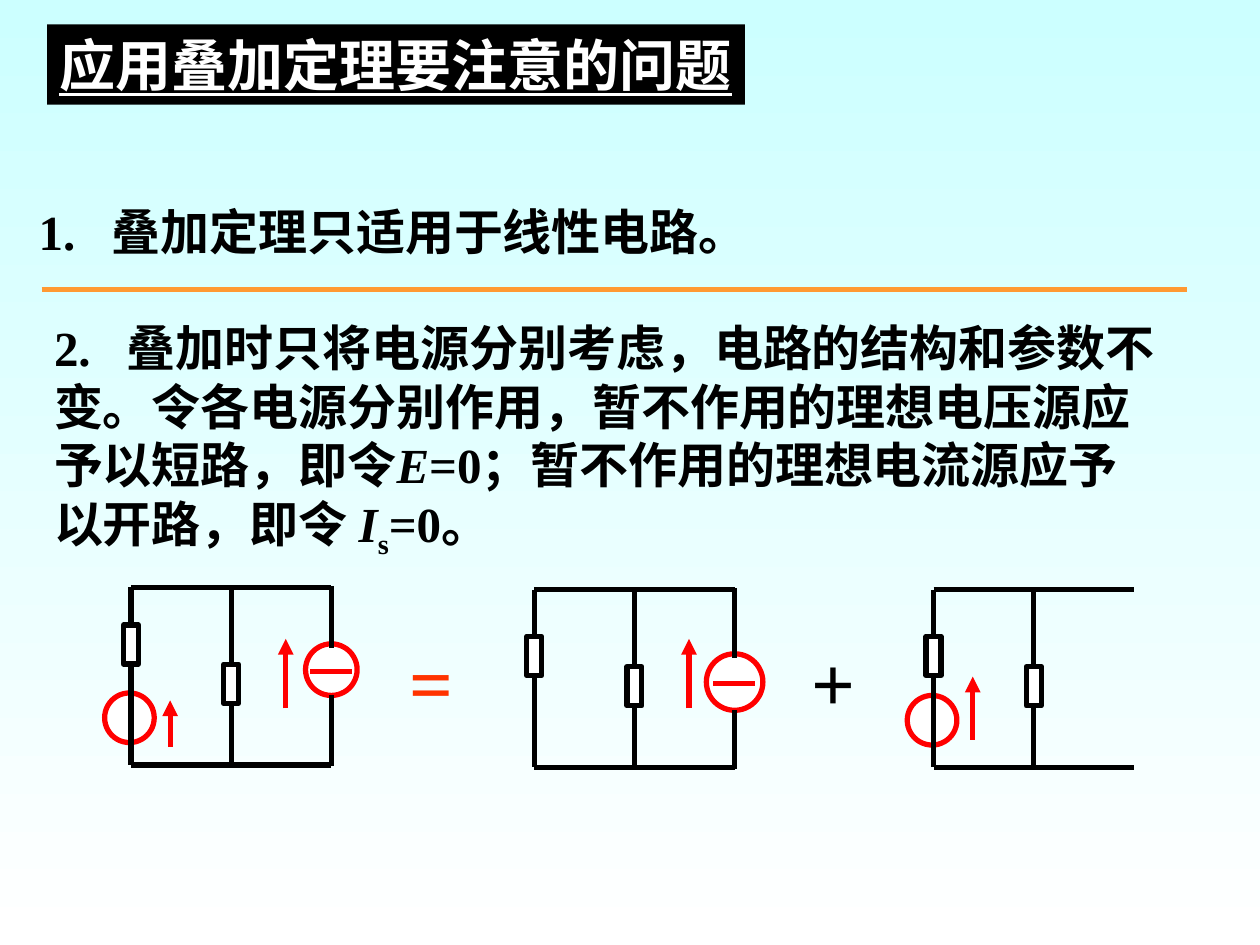
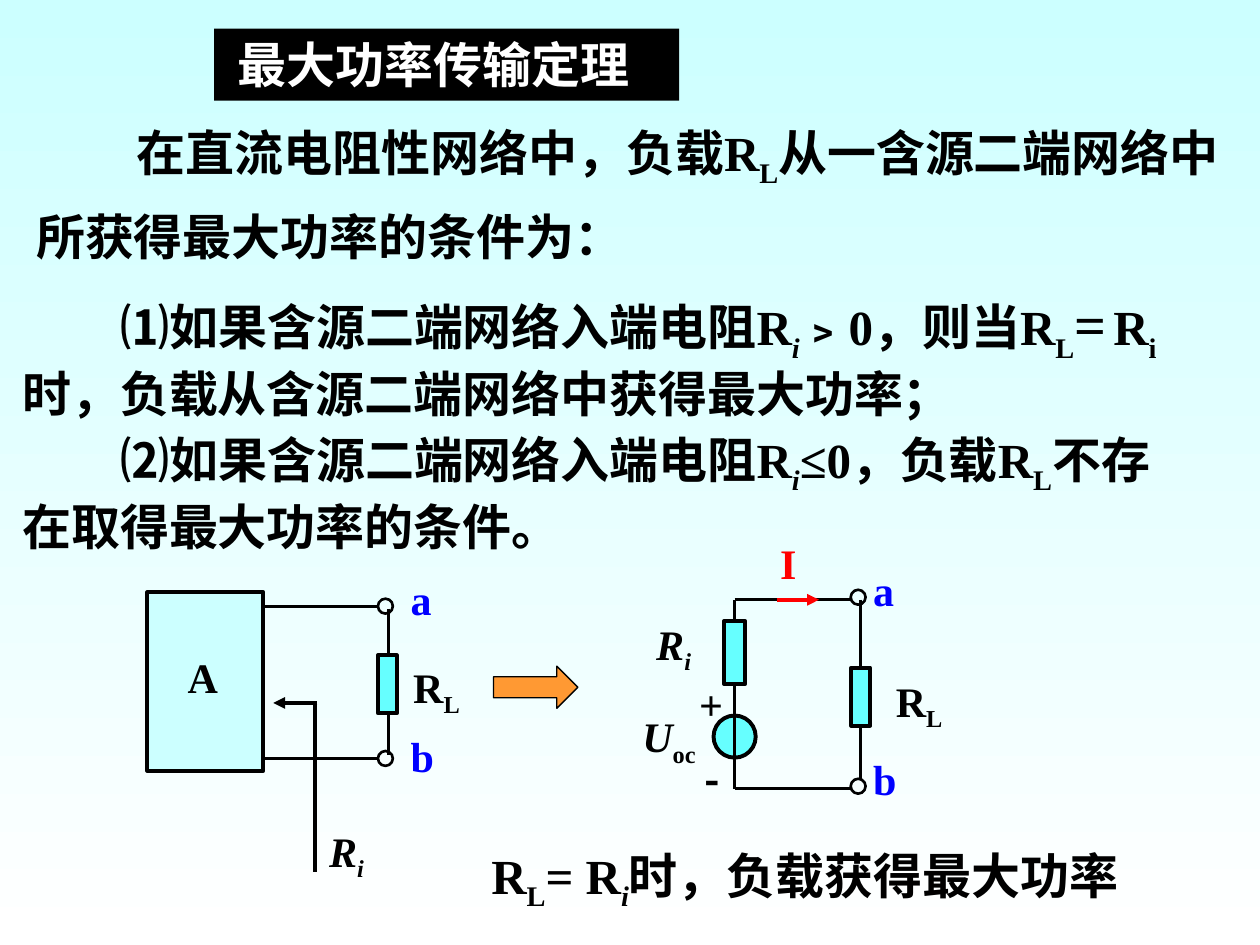
from lxml.etree import SubElement
from pptx import Presentation
from pptx.dml.color import RGBColor
from pptx.enum.shapes import MSO_CONNECTOR, MSO_SHAPE
from pptx.enum.text import MSO_ANCHOR, PP_ALIGN
from pptx.oxml.ns import qn
from pptx.util import Cm, Pt

# Shared colours and fonts
BLACK = RGBColor(0x00, 0x00, 0x00)
WHITE = RGBColor(0xFF, 0xFF, 0xFF)
RED = RGBColor(0xFF, 0x00, 0x00)
BLUE = RGBColor(0x00, 0x00, 0xFF)
ORANGE = RGBColor(0xFF, 0x99, 0x33)
ORANGE_RED = RGBColor(0xFF, 0x33, 0x00)
PALE_CYAN = RGBColor(0xCC, 0xFF, 0xFF)
CYAN = RGBColor(0x66, 0xFF, 0xFF)
LATIN_FONT = "Times New Roman"
CHINESE_FONT = "Noto Sans CJK SC"
NUMBER_TAB = 1.47

# Fragment styles: each fragment is (text, style letters)
ITALIC, SUBSCRIPT, LARGE = "i", "_", "+"


def add_slide(presentation):
    """Blank slide with the shared vertical gradient."""
    slide = presentation.slides.add_slide(presentation.slide_layouts[6])
    fill = slide.background.fill
    fill.gradient()
    fill.gradient_angle = 270
    for stop, color in zip(fill.gradient_stops, (PALE_CYAN, WHITE)):
        stop.color.rgb = color
    return slide


# Text
def format_run(run, style, size, color, font):
    run.font.size = Pt(size + 4 if LARGE in style else size)
    run.font.bold = True
    run.font.italic = ITALIC in style
    run.font.color.rgb = color
    run.font.name = font
    properties = run._r.get_or_add_rPr()
    SubElement(properties, qn("a:ea")).set("typeface", CHINESE_FONT)
    if SUBSCRIPT in style:
        properties.set("baseline", "-25000")


def write_paragraph(paragraph, fragments, size, color, font=LATIN_FONT,
                    align=PP_ALIGN.LEFT, indent=0, tab=None):
    if isinstance(fragments, str):
        fragments = [(fragments, "")]
    paragraph.alignment = align
    properties = paragraph._p.get_or_add_pPr()
    if indent:
        properties.set("marL", "0")
        properties.set("indent", str(Cm(indent)))
    if tab:
        stop = SubElement(SubElement(properties, qn("a:tabLst")), qn("a:tab"))
        stop.set("pos", str(Cm(tab)))
        stop.set("algn", "l")
    for text, style in fragments:
        run = paragraph.add_run()
        run.text = text
        format_run(run, style, size, color, font)


def add_text(slide, left, top, width, height, fragments, size=28, color=BLACK,
             **options):
    box = slide.shapes.add_textbox(Cm(left), Cm(top), Cm(width), Cm(height))
    frame = box.text_frame
    frame.word_wrap = options.get("align") != PP_ALIGN.CENTER
    write_paragraph(frame.paragraphs[0], fragments, size, color, **options)
    return frame


def add_label(slide, left, top, width, fragments, color=BLACK, size=24,
              align=PP_ALIGN.CENTER, **options):
    add_text(slide, left, top, width, 1.27, fragments, size, color,
             align=align, **options)


def add_title(slide, left, top, width, height, text, size, underline=False,
              **options):
    band = add_box(slide, MSO_SHAPE.RECTANGLE, left, top, width, height, BLACK)
    frame = band.text_frame
    frame.word_wrap = True
    frame.margin_right = 0
    frame.vertical_anchor = MSO_ANCHOR.TOP
    write_paragraph(frame.paragraphs[0], text, size, WHITE, **options)
    frame.paragraphs[0].runs[0].font.underline = underline


# Shapes and lines
def add_box(slide, kind, left, top, width, height, fill=None, line=None,
            weight=2.25):
    shape = slide.shapes.add_shape(kind, Cm(left), Cm(top), Cm(width), Cm(height))
    shape.shadow.inherit = False
    if fill is None:
        shape.fill.background()
    else:
        shape.fill.solid()
        shape.fill.fore_color.rgb = fill
    if line is None:
        shape.line.fill.background()
    else:
        shape.line.color.rgb = line
        shape.line.width = Pt(weight)
    return shape


def add_line(slide, x1, y1, x2, y2, color=BLACK, weight=3, arrow=False):
    line = slide.shapes.add_connector(MSO_CONNECTOR.STRAIGHT,
                                      Cm(x1), Cm(y1), Cm(x2), Cm(y2))
    line.line.color.rgb = color
    line.line.width = Pt(weight)
    if arrow:
        SubElement(line.line._get_or_add_ln(), qn("a:tailEnd")).set("type", "triangle")
    SubElement(line._element.spPr, qn("a:effectLst"))


def add_circle(slide, center_x, center_y, diameter, fill, line, weight):
    add_box(slide, MSO_SHAPE.OVAL, center_x - diameter / 2,
            center_y - diameter / 2, diameter, diameter, fill, line, weight)


def add_resistor(slide, center_x, top, width, height, fill, weight):
    add_box(slide, MSO_SHAPE.RECTANGLE, center_x - width / 2, top,
            width, height, fill, BLACK, weight)


def add_terminals(slide, center_x, tops):
    for center_y in tops:
        add_circle(slide, center_x, center_y, 0.3, None, BLACK, 1.5)


# Circuits of the superposition slide
LOOP_WIDTH, LOOP_HEIGHT = 4.04, 3.58


def add_loop(slide, left, top, first_drop):
    """Top and bottom wires and two branches with a resistor each."""
    bottom = top + LOOP_HEIGHT
    for x, drop in ((left, first_drop), (left + LOOP_WIDTH / 2, 1.55)):
        add_line(slide, x, top, x, bottom)
        add_resistor(slide, x, top + drop, 0.3, 0.79, WHITE, 3)
    for y in (top, bottom):
        add_line(slide, left, y, left + LOOP_WIDTH, y)


def add_voltage_source(slide, left, top, arrow_start, arrow_end):
    add_circle(slide, left - 0.03, top + 2.63, 1, WHITE, RED, 3)
    add_line(slide, left + 0.79, top + arrow_start, left + 0.79,
             top + arrow_end, RED, arrow=True)


def add_current_source(slide, left, top, drop, diameter, arrow_start):
    x, y = left + LOOP_WIDTH, top + drop
    add_circle(slide, x, y, diameter, WHITE, RED, 3)
    add_line(slide, x - 0.43, y + 0.03, x + 0.41, y + 0.03, RED)
    add_line(slide, x, top - 0.03, x, y - diameter / 2 + 0.08)
    add_line(slide, x, y + diameter / 2, x, top + LOOP_HEIGHT + 0.03)
    add_line(slide, left + 3.12, top + arrow_start, left + 3.12,
             top + arrow_start - 1.4, RED, arrow=True)


def build_superposition(presentation):
    slide = add_slide(presentation)
    add_title(slide, 0.95, 0.49, 14.07, 1.62, "应用叠加定理要注意的问题", 32,
              underline=True)
    add_text(slide, 0.53, 3.94, 15.5, 1.45, "1.\t叠加定理只适用于线性电路。",
             tab=NUMBER_TAB)
    add_text(slide, 0.84, 6.27, 22.76, 5.16, [
        ("2.\t叠加时只将电源分别考虑，电路的结构和参数不变。令各电源分别作用，"
         "暂不作用的理想电压源应予以短路，即令", ""),
        ("E", ITALIC), ("=0；暂不作用的理想电流源应予以开路，即令 ", ""),
        ("I", ITALIC), ("s", SUBSCRIPT), ("=0。", "")], tab=NUMBER_TAB)
    add_line(slide, 0.84, 5.84, 23.93, 5.84, ORANGE)

    # Both sources
    add_voltage_source(slide, 2.64, 11.84, 3.22, 2.28)
    add_loop(slide, 2.64, 11.84, 0.76)
    add_current_source(slide, 2.64, 11.84, 1.66, 1.04, 2.44)
    add_label(slide, 8, 12.67, 1.4, "=", ORANGE_RED, 44)

    # Current source alone
    add_loop(slide, 10.77, 11.89, 0.94)
    add_current_source(slide, 10.77, 11.89, 1.86, 1.14, 2.39)
    add_label(slide, 16.1, 12.67, 1.4, "+", size=44)

    # Voltage source alone
    add_voltage_source(slide, 18.82, 11.89, 3.02, 1.75)
    add_loop(slide, 18.82, 11.89, 0.94)


# Circuits of the maximum power slide
def add_network(slide):
    add_line(slide, 6.4, 14.17, 5.51, 14.17, weight=2.25, arrow=True)
    add_line(slide, 6.35, 14.17, 6.35, 17.58, weight=2.25)
    add_label(slide, 6.17, 16.51, 1.63, [("R", ITALIC), ("i", ITALIC + SUBSCRIPT)])
    add_box(slide, MSO_SHAPE.RECTANGLE, 2.97, 11.94, 2.34, 3.6, PALE_CYAN, BLACK)
    add_label(slide, 3.53, 13, 1.12, "A")
    for y in (12.22, 15.29):
        add_line(slide, 5.31, y, 7.61, y, weight=1.5)
    add_terminals(slide, 7.77, (12.22, 15.29))
    add_line(slide, 7.83, 12.27, 7.83, 15.21, weight=1.5)
    add_resistor(slide, 7.81, 13.21, 0.38, 1.17, CYAN, 2.25)
    add_label(slide, 8.03, 11.43, 0.91, "a", BLUE)
    add_label(slide, 8.03, 14.6, 0.97, "b", BLUE)
    add_label(slide, 8.05, 13.21, 1.5, [("R", ""), ("L", SUBSCRIPT)])


def add_equivalent(slide):
    source_x, load_x, top, bottom = 14.81, 17.35, 12.09, 15.9
    for y in (top, bottom):
        add_line(slide, source_x, y, 17.15, y, weight=1.5)
    add_line(slide, source_x, top, source_x, bottom, weight=1.5)
    add_resistor(slide, source_x, 12.52, 0.43, 1.27, CYAN, 2.25)
    add_circle(slide, source_x, 14.85, 0.85, CYAN, BLACK, 2.25)
    add_line(slide, source_x, 14.38, source_x, 15.32, weight=1.5)
    add_terminals(slide, 17.3, (12.04, 15.85))
    add_line(slide, load_x, top, load_x, 15.7, weight=1.5)
    add_resistor(slide, load_x, 13.46, 0.38, 1.17, CYAN, 2.25)
    add_line(slide, 15.67, top, 16.51, top, RED, 2.25, arrow=True)

    left = PP_ALIGN.LEFT
    add_label(slide, 17.35, 11.25, 1.47, "a", BLUE, align=left)
    add_label(slide, 17.35, 15.06, 1.07, "b", BLUE, align=left)
    add_label(slide, 12.98, 12.34, 1.47,
              [("R", ITALIC), ("i", ITALIC + SUBSCRIPT)], align=left)
    add_label(slide, 12.7, 14.2, 1.9, [("U", ITALIC), ("oc", SUBSCRIPT)], align=left)
    add_label(slide, 13.84, 13.56, 0.99, "+")
    add_label(slide, 13.84, 15.06, 1.02, "-", font=CHINESE_FONT)
    add_label(slide, 15.47, 10.72, 0.84, "I", RED)
    add_label(slide, 17.78, 13.49, 1.5, [("R", ""), ("L", SUBSCRIPT)])


def build_maximum_power(presentation):
    slide = add_slide(presentation)
    add_title(slide, 4.32, 0.58, 9.37, 1.45, "最大功率传输定理", 28,
              font=CHINESE_FONT, indent=0.22)
    intro = add_text(slide, 0.48, 2.34, 25.1, 3.15, [
        ("在直流电阻性网络中，负载R", ""), ("L", SUBSCRIPT),
        ("从一含源二端网络中", "")], indent=2.03)
    condition = intro.add_paragraph()
    write_paragraph(condition, "所获得最大功率的条件为：", 28, BLACK)
    condition.line_spacing = 1.3

    # The two cases
    add_text(slide, 0.2, 5.72, 23.9, 3.1, [
        ("⑴如果含源二端网络入端电阻R", ""), ("i", ITALIC + SUBSCRIPT),
        ("﹥0，则当R", ""), ("L", SUBSCRIPT), ("=", LARGE), (" ", SUBSCRIPT),
        ("R", ""), ("i", SUBSCRIPT),
        ("时，负载从含源二端网络中获得最大功率；", "")], indent=1.98)
    add_text(slide, 0.2, 8.53, 23.93, 2.79, [
        ("⑵如果含源二端网络入端电阻R", ""), ("i", ITALIC + SUBSCRIPT),
        ("≤0，负载R", ""), ("L", SUBSCRIPT),
        ("不存在取得最大功率的条件。", "")], indent=1.98)

    # Network, its equivalent and the conclusion
    add_network(slide)
    add_box(slide, MSO_SHAPE.RIGHT_ARROW, 9.95, 13.43, 1.7, 0.85, ORANGE, BLACK, 0.75)
    add_equivalent(slide)
    add_text(slide, 9.53, 16.92, 13.39, 1.6, [
        ("R", ""), ("L", SUBSCRIPT), ("= R", ""), ("i", ITALIC + SUBSCRIPT),
        ("时，负载获得最大功率", "")], align=PP_ALIGN.CENTER)


def main():
    presentation = Presentation()
    presentation.slide_width = Cm(25.4)
    presentation.slide_height = Cm(19.05)
    build_superposition(presentation)
    build_maximum_power(presentation)
    presentation.save("out.pptx")


if __name__ == "__main__":
    main()
